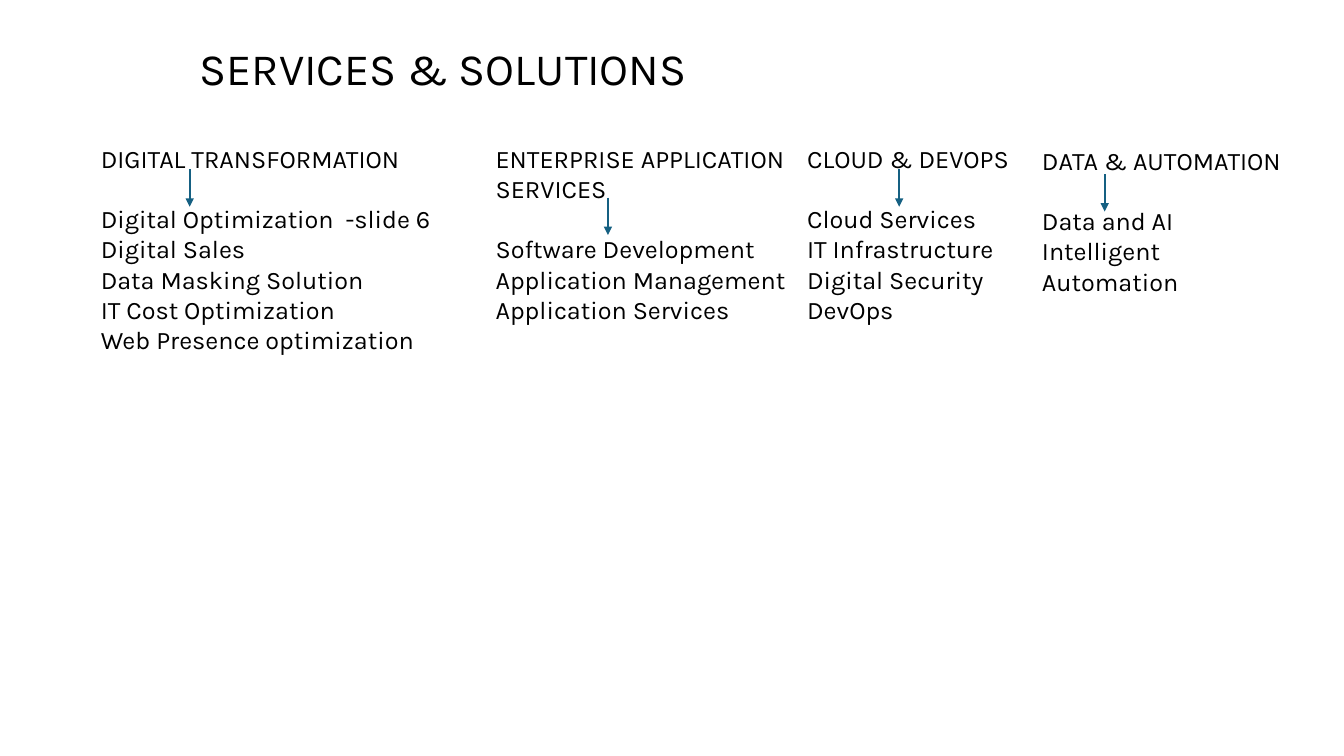
from lxml.etree import SubElement
from pptx import Presentation
from pptx.dml.color import RGBColor
from pptx.enum.shapes import MSO_CONNECTOR
from pptx.enum.text import MSO_AUTO_SIZE
from pptx.oxml.ns import qn
from pptx.util import Cm, Pt


def hex_color(value):
    return RGBColor.from_string(value)


def add_text(text, left, top, width, height, size=18, color="000000", heading_gap=0):
    shape = slide.shapes.add_textbox(Cm(left), Cm(top), Cm(width), Cm(height))
    frame = shape.text_frame
    frame.word_wrap = True
    frame.auto_size = MSO_AUTO_SIZE.SHAPE_TO_FIT_TEXT
    frame.text = text
    for index, paragraph in enumerate(frame.paragraphs):
        paragraph.font.name = "Karla"
        paragraph.font.size = Pt(size)
        paragraph.font.color.rgb = hex_color(color)
        if index == 1:
            paragraph.space_before = Pt(heading_gap)


presentation = Presentation()
presentation.slide_width = Cm(33.87)
presentation.slide_height = Cm(19.05)
slide = presentation.slides.add_slide(presentation.slide_layouts[6])

add_text("SERVICES & SOLUTIONS", 4.78, 0.91, 16.92, 1.63, size=32)

columns = [
    ("DIGITAL TRANSFORMATION",
     ["Digital Optimization  -slide 6", "Digital Sales", "Data Masking Solution",
      "IT Cost Optimization", "Web Presence optimization"],
     (2.29, 3.48, 9.75, 5.64), (4.78, 4.27)),
    ("ENTERPRISE APPLICATION SERVICES",
     ["Software Development", "Application Management", "Application Services"],
     (12.24, 3.48, 7.85, 4.88), (15.32, 4.98)),
    ("CLOUD & DEVOPS",
     ["Cloud Services", "IT Infrastructure", "Digital Security", "DevOps"],
     (20.09, 3.48, 6.3, 4.88), (22.66, 4.27)),
    ("DATA & AUTOMATION",
     ["Data and AI", "Intelligent Automation"],
     (26.01, 3.53, 6.83, 3.33), (27.84, 4.39)),
]
arrow_length = 0.94

for heading, services, box, (arrow_x, arrow_y) in columns:
    add_text("\n".join([heading, *services]), *box, heading_gap=21.6)
    arrow = slide.shapes.add_connector(
        MSO_CONNECTOR.STRAIGHT,
        Cm(arrow_x), Cm(arrow_y), Cm(arrow_x), Cm(arrow_y + arrow_length))
    arrow.line.color.rgb = hex_color("156082")
    arrow.line.width = Pt(1.5)
    SubElement(arrow.line._get_or_add_ln(), qn("a:tailEnd"), type="triangle")
    SubElement(arrow._element.spPr, qn("a:effectLst"))

presentation.save("out.pptx")
